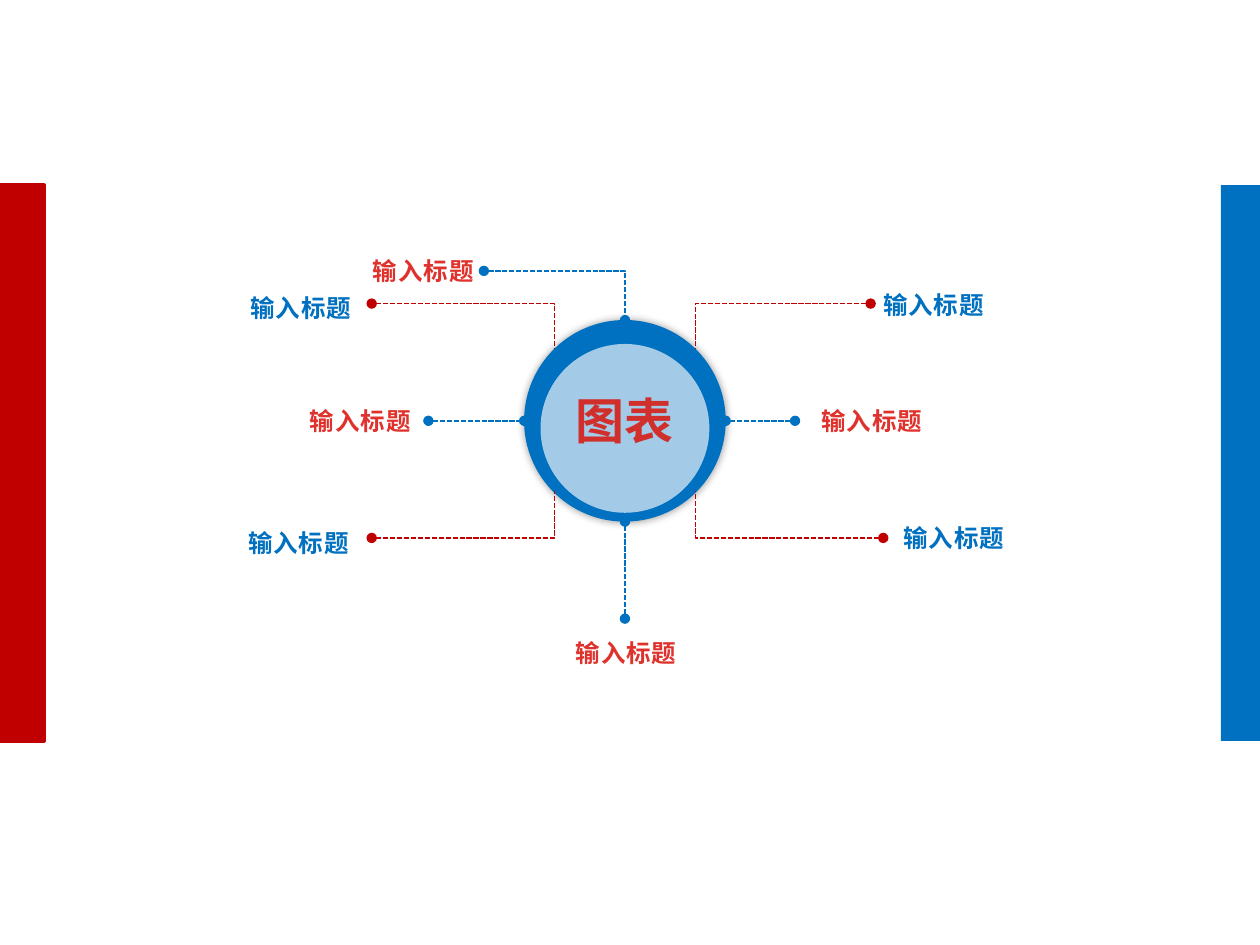
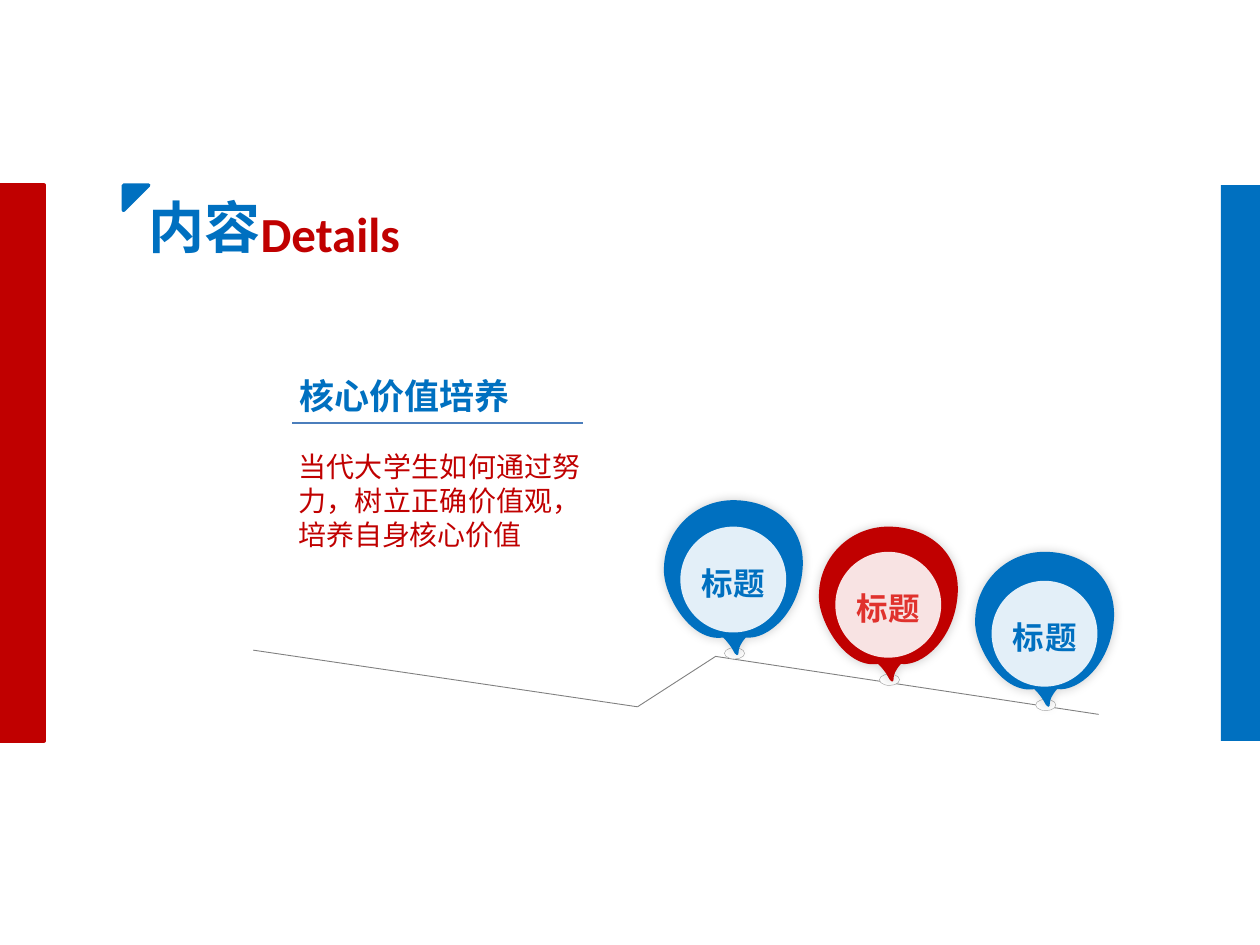
from typing import NamedTuple

from lxml.etree import SubElement
from pptx import Presentation
from pptx.dml.color import RGBColor
from pptx.enum.dml import MSO_LINE
from pptx.enum.shapes import MSO_CONNECTOR, MSO_SHAPE
from pptx.enum.text import MSO_ANCHOR, MSO_AUTO_SIZE, PP_ALIGN
from pptx.oxml.ns import qn
from pptx.util import Inches, Pt

BLUE, RED, BRIGHT_RED = "0070C0", "C00000", "E0322D"
WHITE, GREY = "FFFFFF", "808080"
CJK, LATIN = "Noto Sans CJK SC", "Calibri"
LINE_HEIGHT = 1.22
TITLE_ONLY = 5


class Branch(NamedTuple):
    """A dashed line from a label to the hub, turning once if need be."""
    label_end: tuple[float, float]
    hub_end: tuple[float, float]
    color: str
    text_at: tuple[float, float]
    text_color: str


class Pin(NamedTuple):
    x: float
    y: float
    color: str
    text_color: str
    disc_dy: float


BRANCHES = [
    Branch((3.84, 2.15), (4.96, 2.54), BLUE, (2.86, 1.98), BRIGHT_RED),
    Branch((6.91, 2.41), (5.52, 2.77), RED, (6.91, 2.25), BLUE),
    Branch((2.95, 2.41), (4.40, 2.77), RED, (1.89, 2.27), BLUE),
    Branch((3.40, 3.34), (4.16, 3.34), BLUE, (2.36, 3.17), BRIGHT_RED),
    Branch((6.31, 3.34), (5.76, 3.34), BLUE, (6.42, 3.17), BRIGHT_RED),
    Branch((2.95, 4.27), (4.40, 3.90), RED, (1.87, 4.14), BLUE),
    Branch((7.01, 4.27), (5.52, 3.90), RED, (7.07, 4.10), BLUE),
    Branch((4.96, 4.91), (4.96, 4.14), BLUE, (4.47, 5.01), BRIGHT_RED),
]
PINS = [
    Pin(5.27, 3.97, BLUE, BLUE, 0.21),
    Pin(6.50, 4.18, RED, BRIGHT_RED, 0.20),
    Pin(7.74, 4.38, BLUE, BLUE, 0.23),
]
# Cubic curves of a pin: a start point, then three points per curve
PIN_CURVES = [
    (0, 0.55),
    (0, 0.24), (0.25, 0), (0.55, 0),
    (0.86, 0), (1.13, 0.20), (1.10, 0.55),
    (1.07, 0.90), (0.82, 1.11), (0.65, 1.09),
    (0.56, 1.19), (0.61, 1.23), (0.58, 1.23),
    (0.55, 1.22), (0.56, 1.18), (0.47, 1.09),
    (0.20, 1.13), (-0.01, 0.73), (0, 0.55),
]
ROAD = [(2.01, 5.16), (5.06, 5.61), (5.68, 5.21), (8.72, 5.67)]


def rgb(color: str) -> RGBColor:
    return RGBColor.from_string(color)


def style(shape, fill=None, line=None, width=1.0, alpha=None, shadow=None):
    """Paint a shape; alpha is a percentage, shadow is (percentage, blur in points)."""
    shape.shadow.inherit = False
    if fill:
        shape.fill.solid()
        shape.fill.fore_color.rgb = rgb(fill)
    else:
        shape.fill.background()
    if line:
        shape.line.color.rgb = rgb(line)
        shape.line.width = Pt(width)
    else:
        shape.line.fill.background()
    if alpha:
        color = shape.element.spPr.find(f"{qn('a:solidFill')}/{qn('a:srgbClr')}")
        SubElement(color, qn("a:alpha"), val=str(alpha * 1000))
    if shadow:
        strength, blur = shadow
        effects = shape.element.spPr.find(qn("a:effectLst"))
        outer = SubElement(effects, qn("a:outerShdw"), blurRad=str(Pt(blur)),
                           dist="0", dir="0", algn="ctr", rotWithShape="0")
        color = SubElement(outer, qn("a:srgbClr"), val="000000")
        SubElement(color, qn("a:alpha"), val=str(strength * 1000))


def add_shape(s, kind, x: float, y: float, w: float, h: float, **paint):
    sp = s.shapes.add_shape(kind, Inches(x), Inches(y), Inches(w), Inches(h))
    style(sp, **paint)
    return sp


def add_path(s, points, close=False, **paint):
    start, *rest = [(Inches(x), Inches(y)) for x, y in points]
    builder = s.shapes.build_freeform(*start)
    builder.add_line_segments(rest, close=close)
    sp = builder.convert_to_shape()
    style(sp, **paint)
    return sp


def bend(sp):
    """Join each three straight segments of a freeform into one cubic curve."""
    segments = list(sp.element.iter(qn("a:lnTo")))
    outline = segments[0].getparent()
    close = outline.find(qn("a:close"))
    for i in range(0, len(segments), 3):
        curve = SubElement(outline, qn("a:cubicBezTo"))
        for segment in segments[i:i + 3]:
            curve.append(segment[0])
            outline.remove(segment)
    outline.append(close)


def add_line(s, start, end, color: str, kind=MSO_CONNECTOR.STRAIGHT):
    c = s.shapes.add_connector(kind, *map(Inches, (*start, *end)))
    c.line.color.rgb = rgb(color)
    c.line.width = Pt(1)
    SubElement(c.element.spPr, qn("a:effectLst"))
    return c


def write(sp, text: str, size: float, color: str, font=CJK, bold=True,
          spacing=0.0, wrap=False, align=PP_ALIGN.LEFT):
    tf = sp.text_frame
    tf.word_wrap = wrap
    tf.auto_size = MSO_AUTO_SIZE.NONE
    tf.vertical_anchor = MSO_ANCHOR.TOP
    p = tf.paragraphs[0]
    p.alignment = align
    p.line_spacing = Pt(size * LINE_HEIGHT)
    r = p.add_run()
    r.text = text
    r.font.size, r.font.bold, r.font.name = Pt(size), bold, font
    r.font.color.rgb = rgb(color)
    props = p._p.find(f"{qn('a:r')}/{qn('a:rPr')}")
    SubElement(props, qn("a:ea"), typeface=font)
    if spacing:
        props.set("spc", str(int(spacing * 100)))


def add_text(s, text: str, x: float, y: float, w: float, h: float, **format):
    box = s.shapes.add_textbox(Inches(x), Inches(y), Inches(w), Inches(h))
    write(box, text, **format)


def set_title(s, text: str, x: float, y: float, w: float, h: float, **format):
    """Fill the title placeholder and bring it to the front."""
    title = s.shapes.title
    title.left, title.top = Inches(x), Inches(y)
    title.width, title.height = Inches(w), Inches(h)
    write(title, text, **format)
    title.element.getparent().append(title.element)


def add_side_bands(s, layout):
    """Draw the bands on a slide, then move them to its layout."""
    bands = [
        add_shape(s, MSO_SHAPE.RECTANGLE, 0, 1.47, 0.35, 4.41, fill=RED, line=RED, width=2),
        add_shape(s, MSO_SHAPE.RECTANGLE, 9.69, 1.47, 0.35, 4.41, fill=BLUE),
    ]
    tree = layout.placeholders[0].element.getparent()
    for band in bands:
        tree.append(band.element)


def add_branch(s, b: Branch):
    bent = b.label_end[0] != b.hub_end[0] and b.label_end[1] != b.hub_end[1]
    kind = MSO_CONNECTOR.ELBOW if bent else MSO_CONNECTOR.STRAIGHT
    c = add_line(s, b.label_end, b.hub_end, b.color, kind)
    if bent:
        c.element.spPr.find(qn("a:prstGeom")).set("prst", "bentConnector2")
    c.line.dash_style = MSO_LINE.SQUARE_DOT
    ln = c.element.spPr.find(qn("a:ln"))
    SubElement(ln, qn("a:headEnd"), type="oval")
    if b.color == BLUE:
        SubElement(ln, qn("a:tailEnd"), type="oval")
    add_text(s, "输入标题", *b.text_at, 1.02, 0.34, size=14, color=b.text_color, spacing=0.5)


def add_pin(s, pin: Pin):
    add_shape(s, MSO_SHAPE.OVAL, pin.x + 0.48, pin.y + 1.17, 0.16, 0.09,
              fill=WHITE, line="A6A6A6", width=0.25)
    outline = [(pin.x + x, pin.y + y) for x, y in PIN_CURVES]
    bend(add_path(s, outline, close=True, fill=pin.color, shadow=(20, 6)))
    disc_y = pin.y + pin.disc_dy
    add_shape(s, MSO_SHAPE.OVAL, pin.x + 0.13, disc_y, 0.84, 0.84, fill=WHITE, alpha=89)
    add_text(s, "标题", pin.x + 0.2, disc_y + 0.24, 0.72, 0.4,
             size=18, color=pin.text_color, spacing=0.5)


def build_hub_slide(s):
    add_shape(s, MSO_SHAPE.OVAL, 4.16, 2.54, 1.6, 1.6, fill=BLUE, shadow=(40, 5))
    for branch in BRANCHES:
        add_branch(s, branch)
    add_shape(s, MSO_SHAPE.OVAL, 4.29, 2.73, 1.34, 1.34, fill=WHITE, alpha=64)
    set_title(s, "图表", 4.47, 3.04, 0.99, 0.57, size=28, color="D02F2C")


def build_details_slide(s):
    add_path(s, ROAD, line=GREY, width=0.5)
    corner = add_shape(s, MSO_SHAPE.RIGHT_TRIANGLE, 0.98, 1.47, 0.2, 0.2,
                       fill=BLUE, line=BLUE, width=2)
    corner.rotation = 90
    set_title(s, "内容", 1.08, 1.47, 1.1, 0.64, size=32, color=BLUE)
    add_text(s, "Details", 1.97, 1.56, 1.32, 0.57, size=28, color=RED, font=LATIN)
    add_text(s, "核心价值培养", 2.28, 2.92, 1.88, 0.44, size=20, color=BLUE)
    add_text(s, "当代大学生如何通过努力，树立正确价值观，培养自身核心价值",
             2.27, 3.51, 2.44, 0.91, size=16, color=RED, bold=False,
             wrap=True, align=PP_ALIGN.JUSTIFY)
    add_line(s, (2.32, 3.36), (4.63, 3.36), "4B7EBC")
    for pin in PINS:
        add_pin(s, pin)


def main():
    prs = Presentation()
    prs.slide_width, prs.slide_height = Inches(10), Inches(7.5)
    layout = prs.slide_layouts[TITLE_ONLY]
    hub, details = (prs.slides.add_slide(layout) for _ in range(2))
    add_side_bands(hub, layout)
    build_hub_slide(hub)
    build_details_slide(details)
    prs.save("out.pptx")


if __name__ == "__main__":
    main()
